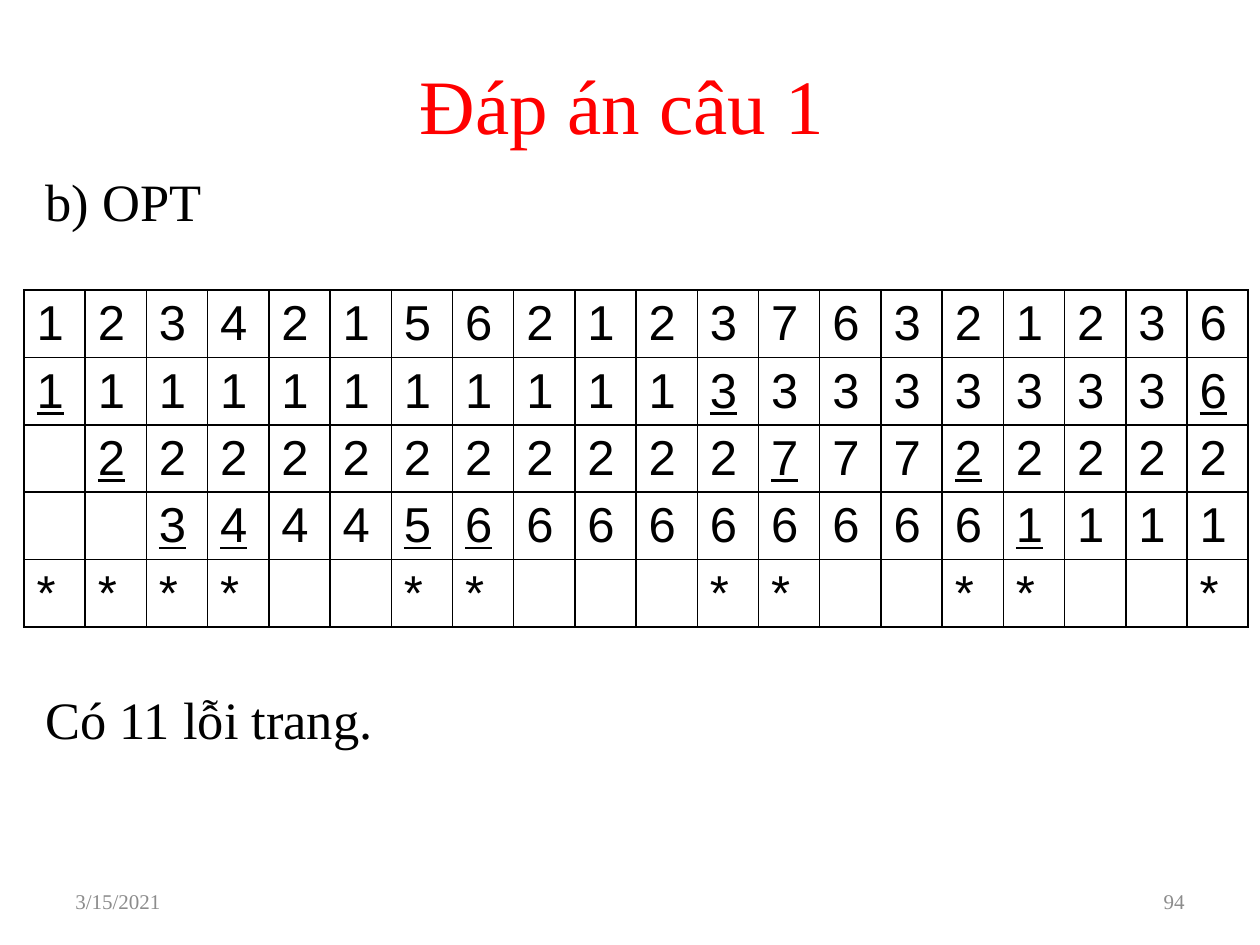
from lxml.etree import SubElement as Sub
from pptx import Presentation
from pptx.dml.color import RGBColor as RGB
from pptx.enum.text import MSO_ANCHOR as Anchor, MSO_AUTO_SIZE as Auto, PP_ALIGN as Align
from pptx.oxml import parse_xml
from pptx.oxml.ns import nsdecls, qn
from pptx.util import Inches, Pt

theme = {
    "title": {"name": "Times New Roman", "size": Pt(44), "color": "FF0000"},
    "body": {"name": "Times New Roman", "size": Pt(30), "color": "000000"},
    "cell": {"name": "Arial", "size": Pt(28), "color": "000000"},
    "foot": {"name": "Times New Roman", "size": Pt(12), "color": "8C8C8C"},
    "line": "000000",
}


def style(item, vals):
    for key, val in vals.items():
        if key == "color":
            item.color.rgb = RGB.from_string(val)
        else:
            setattr(item, key, val)


def write(para, text, kind, **vals):
    run = para.add_run()
    run.text = text
    style(run.font, theme[kind] | vals)


deck = Presentation()
style(deck, {"slide_width": Inches(10), "slide_height": Inches(7.5)})
wide, high = deck.slide_width, deck.slide_height
slide = deck.slides.add_slide(deck.slide_layouts[1])
title, body = slide.placeholders

style(title, {"left": int(wide * 0.102), "top": int(high * 0.05),
              "width": int(wide * 0.783), "height": int(high * 0.12)})
style(title.text_frame, {"vertical_anchor": Anchor.MIDDLE, "auto_size": Auto.NONE})
head = title.text_frame.paragraphs[0]
head.alignment = Align.CENTER
write(head, "Đáp án câu 1", "title")

style(body, {"left": int(wide * 0.026), "top": int(high * 0.172),
             "width": int(wide * 0.945), "height": int(high * 0.764)})
frame = body.text_frame
frame.auto_size = Auto.NONE
first, last = frame.paragraphs[0], frame.add_paragraph()
last.space_before = Pt(260)
for para, text in ((first, "b) OPT"), (last, "Có 11 lỗi trang.")):
    para.alignment = Align.JUSTIFY
    write(para, text, "body")
    props = para._p.get_or_add_pPr()
    props.set("marL", str(Inches(0.38)))
    props.set("indent", str(Inches(-0.38)))
    Sub(props, qn("a:buNone"))

rows = [
    "12342156212376321236",
    "11111111111333333336",
    " 2222222222277722222",
    "  344456666666661111",
    "****  **   **  **  *",
]
unit, step = int(wide * 0.0486), int(high * 0.0713)
frame = slide.shapes.add_table(len(rows), len(rows[0]), int(wide * 0.019), int(high * 0.307),
                               unit * len(rows[0]), step * len(rows))
grid = frame.table
style(grid, {"first_row": False, "horz_banding": False})
for col in grid.columns:
    col.width = unit
for y, row in enumerate(rows):
    grid.rows[y].height = step
    for x, mark in enumerate(row):
        cell = grid.cell(y, x)
        style(cell, {"vertical_anchor": Anchor.MIDDLE,
                     "margin_top": Inches(0.04), "margin_bottom": Inches(0.04)})
        cell.fill.background()
        props = cell._tc.get_or_add_tcPr()
        for at, side in enumerate("LRTB"):
            props.insert(at, parse_xml(
                f'<a:ln{side} {nsdecls("a")} w="{Pt(1)}"><a:solidFill>'
                f'<a:srgbClr val="{theme["line"]}"/></a:solidFill></a:ln{side}>'))
        if mark != " ":
            fault = 0 < y < 4 and (x == 0 or row[x - 1] != mark)
            write(cell.text_frame.paragraphs[0], mark, "cell", underline=fault)

for left, text, side in ((0.05, "3/15/2021", Align.LEFT), (0.717, "94", Align.RIGHT)):
    box = slide.shapes.add_textbox(int(wide * left), int(high * 0.927),
                                   int(wide * 0.233), int(high * 0.053))
    style(box.text_frame, {"word_wrap": True, "vertical_anchor": Anchor.MIDDLE})
    para = box.text_frame.paragraphs[0]
    para.alignment = side
    write(para, text, "foot")

deck.save("out.pptx")
